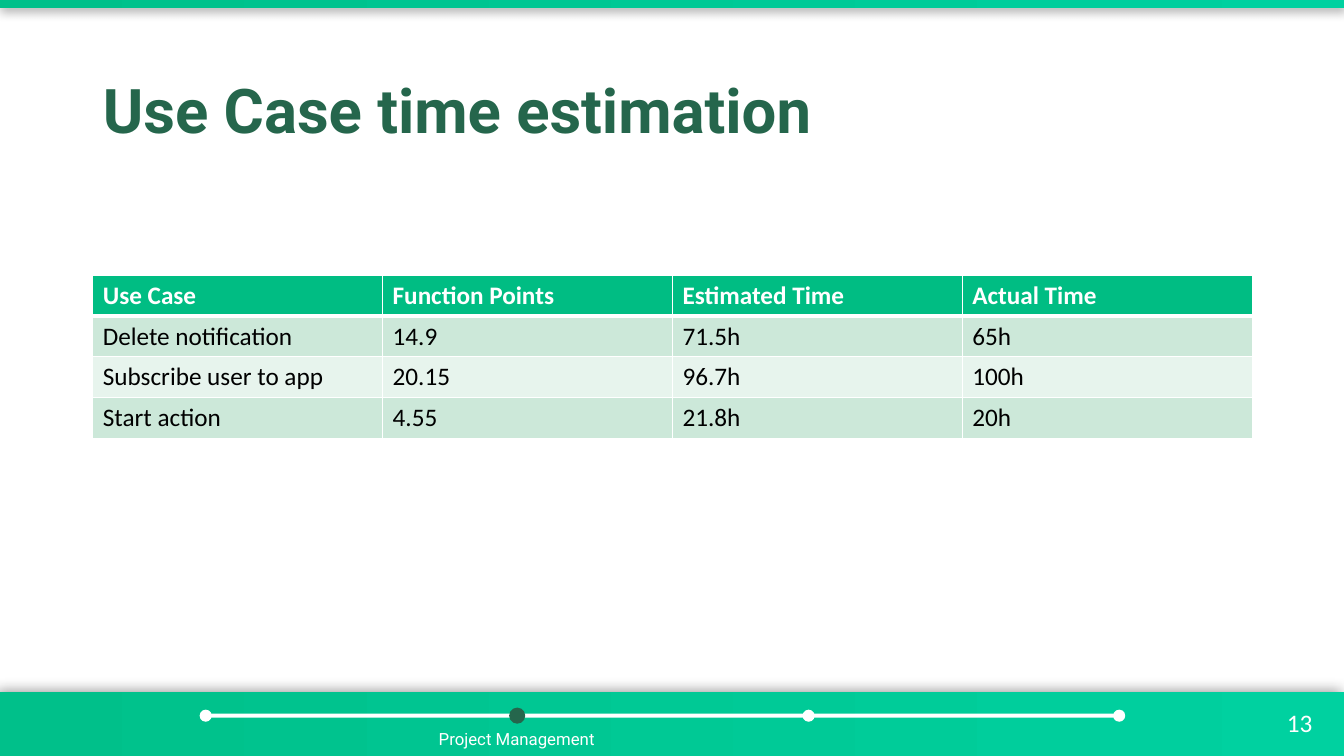
import pptx
import pptx.dml.color
import pptx.enum.shapes
import pptx.enum.text
import pptx.oxml
import pptx.oxml.ns
import pptx.util
from pptx.util import Inches

RGBColor = pptx.dml.color.RGBColor
MSO_SHAPE = pptx.enum.shapes.MSO_SHAPE
PP_ALIGN = pptx.enum.text.PP_ALIGN
MSO_ANCHOR = pptx.enum.text.MSO_ANCHOR

WHITE = RGBColor(0xFF, 0xFF, 0xFF)
BLACK = RGBColor(0x00, 0x00, 0x00)
DARK_GREEN = RGBColor(0x25, 0x66, 0x4C)
BAR_START = RGBColor(0x00, 0xC0, 0x8A)
BAR_END = RGBColor(0x00, 0xD1, 0xA0)
HEADER_GREEN = RGBColor(0x00, 0xBD, 0x83)
BAND_DARK = RGBColor(0xCC, 0xE8, 0xD9)
BAND_LIGHT = RGBColor(0xE7, 0xF4, 0xED)

prs = pptx.Presentation()
prs.slide_width = Inches(13.33)
prs.slide_height = Inches(7.5)
slide = prs.slides.add_slide(prs.slide_layouts[5])


def write(frame, text, color, **font_format):
    """Put one formatted run of text into a text frame."""
    run = frame.paragraphs[0].add_run()
    run.text = text
    run.font.color.rgb = color
    for attribute, value in font_format.items():
        setattr(run.font, attribute, value)


def add_plain_shape(kind, left, top, width, height, color=None):
    """Add a shape without outline or shadow, filled if a colour is given."""
    shape = slide.shapes.add_shape(
        kind, Inches(left), Inches(top), Inches(width), Inches(height))
    shape.shadow.inherit = False
    shape.line.fill.background()
    if color is not None:
        shape.fill.solid()
        shape.fill.fore_color.rgb = color
    return shape


# Top and bottom bars: top, height, shadow blur, distance (pt) and direction (degrees)
for top, height, blur, distance, direction in [(0, 0.08, 8, 2, 76), (6.87, 0.63, 10, 3, 220)]:
    bar = add_plain_shape(MSO_SHAPE.RECTANGLE, 0, top, 13.33, height)
    bar.fill.gradient()
    bar.fill.gradient_angle = 0
    for stop, position, color in zip(bar.fill.gradient_stops, (0, 1), (BAR_START, BAR_END)):
        stop.position = position
        stop.color.rgb = color
    effects = bar.element.spPr.find(pptx.oxml.ns.qn("a:effectLst"))
    effects.append(pptx.oxml.parse_xml(
        f'<a:outerShdw {pptx.oxml.ns.nsdecls("a")} blurRad="{pptx.util.Pt(blur)}" '
        f'dist="{pptx.util.Pt(distance)}" dir="{direction * 60000}" algn="ctr" rotWithShape="0">'
        '<a:srgbClr val="000000"><a:alpha val="40000"/></a:srgbClr></a:outerShdw>'))

# Slide number
number = slide.shapes.add_textbox(Inches(12.54), Inches(6.97), Inches(0.7), Inches(0.4))
number.text_frame.word_wrap = True
number.text_frame.vertical_anchor = MSO_ANCHOR.MIDDLE
number.text_frame.paragraphs[0].alignment = PP_ALIGN.CENTER
write(number.text_frame, "13", WHITE, name="Calibri", size=pptx.util.Pt(18))

# Progress track with its milestones
track = add_plain_shape(MSO_SHAPE.ROUNDED_RECTANGLE, 2.04, 7.08, 9.06, 0.04, WHITE)
track.adjustments[0] = 0.5
for milestone_left in (1.98, 5.07, 7.96, 11.04):
    add_plain_shape(MSO_SHAPE.OVAL, milestone_left, 7.04, 0.12, 0.12, WHITE)
add_plain_shape(MSO_SHAPE.OVAL, 5.05, 7.02, 0.16, 0.16, DARK_GREEN)

section = slide.shapes.add_textbox(Inches(4.23), Inches(7.18), Inches(1.79), Inches(0.3))
section.text_frame.word_wrap = False
section.text_frame.paragraphs[0].alignment = PP_ALIGN.CENTER
write(section.text_frame, "Project Management", WHITE, name="Roboto", size=pptx.util.Pt(12))

# Title
title = slide.shapes.title
title_box = {"left": 0.92, "top": 0.4, "width": 11.5, "height": 1.45}
for attribute, value in title_box.items():
    setattr(title, attribute, Inches(value))
title.text_frame.vertical_anchor = MSO_ANCHOR.MIDDLE
title.text_frame.paragraphs[0].alignment = PP_ALIGN.LEFT
title.text_frame.paragraphs[0].line_spacing = 0.9
write(title.text_frame, "Use Case time estimation", DARK_GREEN,
      name="Roboto", size=pptx.util.Pt(44), bold=True)

# Estimation table
ESTIMATES = [
    ("Use Case", "Function Points", "Estimated Time", "Actual Time"),
    ("Delete notification", "14.9", "71.5h", "65h"),
    ("Subscribe user to app", "20.15", "96.7h", "100h"),
    ("Start action", "4.55", "21.8h", "20h"),
]
ROW_FILLS = [HEADER_GREEN, BAND_DARK, BAND_LIGHT, BAND_DARK]

table = slide.shapes.add_table(
    4, 4, Inches(0.92), Inches(2.73), Inches(11.5), Inches(1.62)).table
for row_index, (values, row_fill) in enumerate(zip(ESTIMATES, ROW_FILLS)):
    is_header = row_index == 0
    border_widths = {"lnL": 1, "lnR": 1,
                     "lnT": 3 if row_index == 1 else 1,
                     "lnB": 3 if is_header else 1}
    for column_index, value in enumerate(values):
        cell = table.cell(row_index, column_index)
        write(cell.text_frame, value, WHITE if is_header else BLACK,
              name="Calibri", size=pptx.util.Pt(18), bold=is_header)
        cell_properties = cell._tc.get_or_add_tcPr()
        for side, width in border_widths.items():
            cell_properties.append(pptx.oxml.parse_xml(
                f'<a:{side} {pptx.oxml.ns.nsdecls("a")} w="{pptx.util.Pt(width)}">'
                f'<a:solidFill><a:srgbClr val="{WHITE}"/></a:solidFill></a:{side}>'))
        cell.fill.solid()
        cell.fill.fore_color.rgb = row_fill

prs.save("out.pptx")
